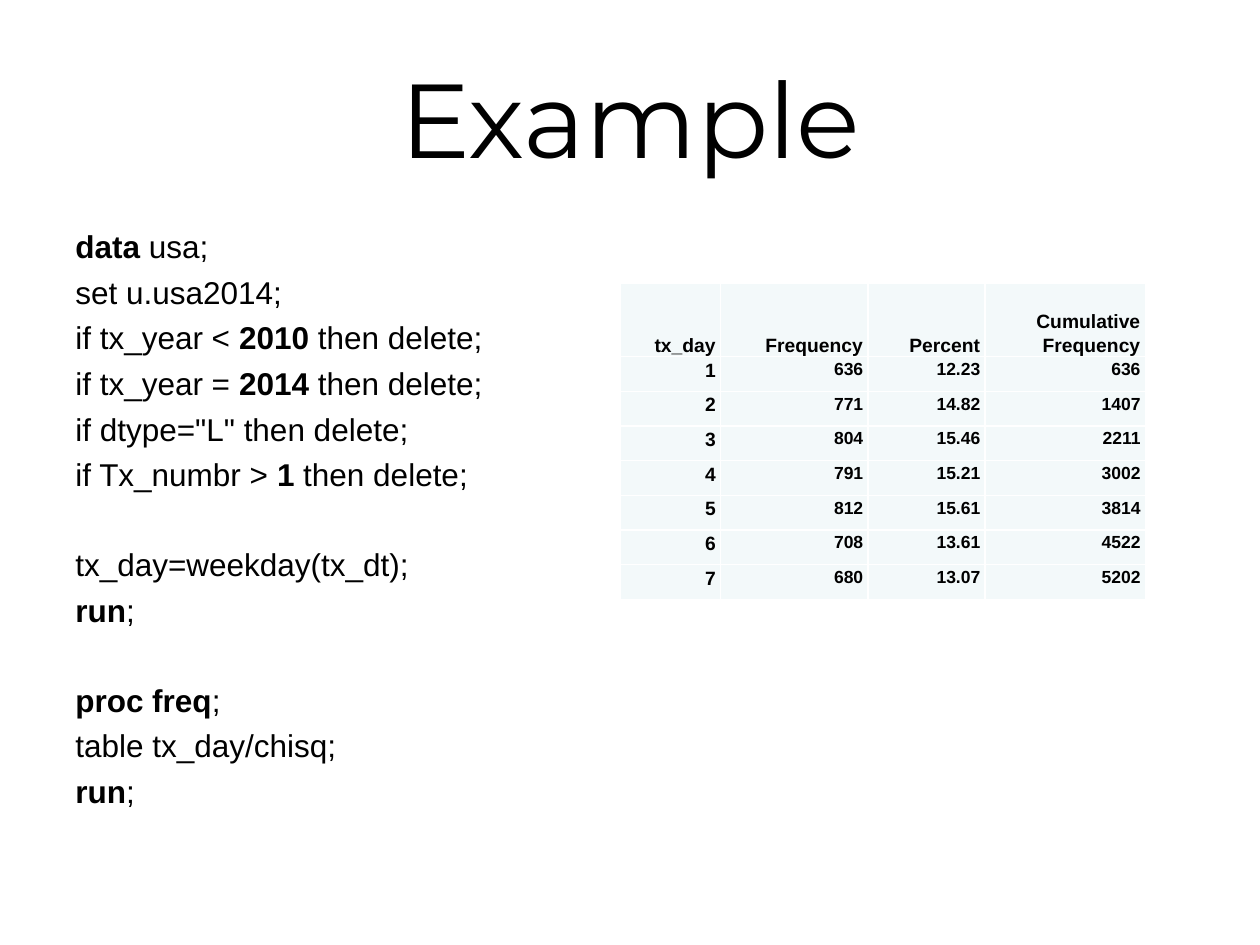
from lxml import etree
from pptx import Presentation
from pptx import util as u
from pptx.dml.color import RGBColor
from pptx.enum import text
from pptx.oxml.ns import qn

COLORS = {"ink": "000000", "cell": "F3F9FA", "border": "FFFFFF"}

# Asterisks enclose bold words; each inner list is one block of code.
CODE = [
    [
        "*data *usa;",
        "set u.usa2014;",
        "if tx_year < *2010 *then delete;",
        "if tx_year = *2014 *then delete;",
        'if dtype="L" then delete;',
        "if Tx_numbr > *1* then delete;",
    ],
    ["tx_day=weekday(tx_dt);", "*run*;"],
    ["*proc freq*;", "table tx_day/chisq;", "*run*;"],
]
LINE_GAP, BLOCK_GAP = 4.5, 29.75

FREQUENCIES = [
    ("tx_day", "Frequency", "Percent", "Cumulative\nFrequency"),
    ("1", "636", "12.23", "636"),
    ("2", "771", "14.82", "1407"),
    ("3", "804", "15.46", "2211"),
    ("4", "791", "15.21", "3002"),
    ("5", "812", "15.61", "3814"),
    ("6", "708", "13.61", "4522"),
    ("7", "680", "13.07", "5202"),
]
COLUMN_WIDTHS = [2.03, 2.97, 2.36, 3.23]
HEADER_HEIGHT, ROW_HEIGHT = 1.47, 0.7


def write(p, content, size, font="Arial", bold=False, align=None,
          before=0, after=0, spacing=None):
    """Fill a paragraph; asterisks toggle bold and newlines break the line."""
    p.alignment = align
    p.space_before, p.space_after = u.Pt(before), u.Pt(after)
    p.line_spacing = spacing
    for i, part in enumerate(content.split("*")):
        for j, line in enumerate(part.split("\n")):
            if j:
                p.add_line_break()
            if not line:
                continue
            r = p.add_run()
            r.text = line
            r.font.name, r.font.size = font, u.Pt(size)
            r.font.bold = bold or i % 2 == 1
            r.font.color.rgb = RGBColor.from_string(COLORS["ink"])


def add_title(s, content):
    sp = s.shapes.title
    sp.left, sp.top = u.Cm(1.27), u.Cm(0.76)
    sp.width, sp.height = u.Cm(22.86), u.Cm(3.18)
    sp.text_frame.vertical_anchor = text.MSO_ANCHOR.MIDDLE
    write(sp.text_frame.paragraphs[0], content, 60, font="Montserrat",
          align=text.PP_ALIGN.CENTER)


def add_code(s):
    sp = s.shapes.add_textbox(u.Cm(1.27), u.Cm(4.45), u.Cm(22.86), u.Cm(12.57))
    tf = sp.text_frame
    tf.word_wrap = True
    for b, block in enumerate(CODE):
        for i, line in enumerate(block):
            first = b == 0 and i == 0
            p = tf.paragraphs[0] if first else tf.add_paragraph()
            write(p, line, 18, before=BLOCK_GAP if b and i == 0 else LINE_GAP)


def set_borders(cell, color, width=1):
    tc_pr = cell._tc.get_or_add_tcPr()
    for i, side in enumerate(("lnL", "lnR", "lnT", "lnB")):
        ln = etree.Element(qn(f"a:{side}"), w=str(u.Pt(width)))
        fill = etree.SubElement(ln, qn("a:solidFill"))
        etree.SubElement(fill, qn("a:srgbClr"), val=color)
        tc_pr.insert(i, ln)


def format_cell(cell, content, size, anchor):
    cell.margin_left = cell.margin_right = u.Cm(0.1)
    cell.margin_top = cell.margin_bottom = 0
    cell.vertical_anchor = anchor
    cell.fill.solid()
    cell.fill.fore_color.rgb = RGBColor.from_string(COLORS["cell"])
    set_borders(cell, COLORS["border"])
    write(cell.text_frame.paragraphs[0], content, size, bold=True,
          align=text.PP_ALIGN.RIGHT, before=3, after=3, spacing=1.15)


def add_frequency_table(s):
    rows, cols = len(FREQUENCIES), len(COLUMN_WIDTHS)
    height = HEADER_HEIGHT + ROW_HEIGHT * (rows - 1)
    table = s.shapes.add_table(rows, cols, u.Cm(12.5), u.Cm(5.72),
                               u.Cm(sum(COLUMN_WIDTHS)), u.Cm(height)).table
    table.first_row = table.horz_banding = False
    for column, width in zip(table.columns, COLUMN_WIDTHS):
        column.width = u.Cm(width)
    for i, values in enumerate(FREQUENCIES):
        header = i == 0
        table.rows[i].height = u.Cm(HEADER_HEIGHT if header else ROW_HEIGHT)
        anchor = text.MSO_ANCHOR.BOTTOM if header else text.MSO_ANCHOR.TOP
        for j, value in enumerate(values):
            size = 11 if header or j == 0 else 10
            format_cell(table.cell(i, j), value, size, anchor)


def main():
    prs = Presentation()
    prs.slide_width, prs.slide_height = u.Cm(25.4), u.Cm(19.05)
    s = prs.slides.add_slide(prs.slide_layouts[5])
    add_title(s, "Example")
    add_code(s)
    add_frequency_table(s)
    prs.save("out.pptx")


if __name__ == "__main__":
    main()
